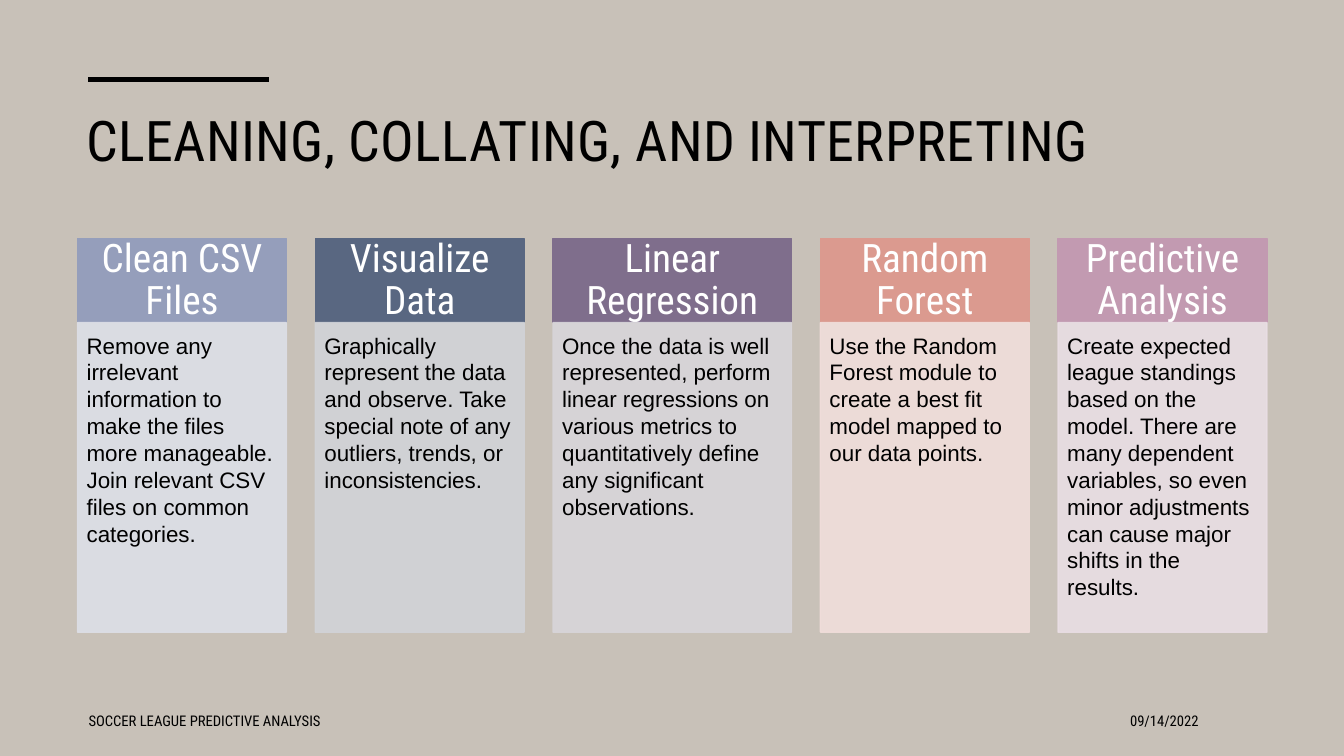
"""Build the slide on cleaning, collating and interpreting data."""
from lxml.etree import SubElement
from pptx import Presentation
from pptx.dml.color import RGBColor
from pptx.enum.shapes import MSO_CONNECTOR, MSO_SHAPE
from pptx.enum.text import MSO_ANCHOR, PP_ALIGN
from pptx.oxml.ns import qn
from pptx.util import Pt

TITLE = "CLEANING, COLLATING, AND INTERPRETING"
FOOTER = "SOCCER LEAGUE PREDICTIVE ANALYSIS"
DATE = "09/14/2022"

BACKGROUND = RGBColor(0xC8, 0xC1, 0xB8)
BLACK = RGBColor(0x00, 0x00, 0x00)
WHITE = RGBColor(0xFF, 0xFF, 0xFF)
BLUE = RGBColor(0x95, 0x9E, 0xBB)
PALE_BLUE = RGBColor(0xDD, 0xDF, 0xE7)
SLATE = RGBColor(0x59, 0x67, 0x81)
PALE_SLATE = RGBColor(0xD1, 0xD3, 0xD8)
PURPLE = RGBColor(0x7F, 0x6E, 0x8C)
PALE_PURPLE = RGBColor(0xD8, 0xD5, 0xDA)
CORAL = RGBColor(0xDB, 0x9A, 0x8F)
PALE_CORAL = RGBColor(0xF1, 0xDE, 0xDB)
PINK = RGBColor(0xC2, 0x9A, 0xB1)
PALE_PINK = RGBColor(0xE9, 0xDE, 0xE4)

HEADING_FONT = "Roboto Condensed"
BODY_FONT = "Arial"

STEPS = [
    ("Clean CSV Files",
     "Remove any irrelevant information to make the files more manageable. "
     "Join relevant CSV files on common categories.",
     149.2, BLUE, PALE_BLUE),
    ("Visualize Data",
     "Graphically represent the data and observe. Take special note of any "
     "outliers, trends, or inconsistencies.",
     149.2, SLATE, PALE_SLATE),
    ("Linear Regression",
     "Once the data is well represented, perform linear regressions on various "
     "metrics to quantitatively define any significant observations.",
     170.4, PURPLE, PALE_PURPLE),
    ("Random Forest",
     "Use the Random Forest module to create a best fit model mapped to our "
     "data points.",
     149.2, CORAL, PALE_CORAL),
    ("Predictive Analysis",
     "Create expected league standings based on the model. There are many "
     "dependent variables, so even minor adjustments can cause major shifts "
     "in the results.",
     149.2, PINK, PALE_PINK),
]
STEPS_LEFT, STEPS_TOP, STEP_GAP = 55.4, 170.4, 20.6
HEADER_HEIGHT, BODY_HEIGHT = 60, 221.2


def write(box, text, size, font, color, anchor, align=PP_ALIGN.LEFT,
          insets=(7.2, 3.6, 7.2, 3.6)):
    """Put one formatted paragraph in a box and return the paragraph."""
    frame = box.text_frame
    frame.word_wrap = True
    frame.vertical_anchor = anchor
    (frame.margin_left, frame.margin_top,
     frame.margin_right, frame.margin_bottom) = map(Pt, insets)
    para = frame.paragraphs[0]
    para.alignment = align
    span = para.add_run()
    span.text = text
    span.font.size = Pt(size)
    span.font.name = font
    span.font.color.rgb = color
    return para


def add_text(page, left, top, width, height, *style, **options):
    """Add a text box with one paragraph."""
    box = page.shapes.add_textbox(Pt(left), Pt(top), Pt(width), Pt(height))
    return write(box, *style, **options)


def add_panel(page, left, top, width, height, color, opacity=100):
    """Add a rectangle whose fill and outline share a colour and opacity."""
    panel = page.shapes.add_shape(
        MSO_SHAPE.RECTANGLE, Pt(left), Pt(top), Pt(width), Pt(height))
    panel.shadow.inherit = False
    panel.fill.solid()
    panel.fill.fore_color.rgb = color
    panel.line.color.rgb = color
    panel.line.width = Pt(1)
    if opacity < 100:
        for tone in panel.element.spPr.iter(qn("a:srgbClr")):
            SubElement(tone, qn("a:alpha"), val=str(opacity * 1000))
    return panel


def add_steps(page):
    """Lay the steps out from left to right with equal gaps."""
    left = STEPS_LEFT
    for heading, detail, width, dark, pale in STEPS:
        header = add_panel(page, left, STEPS_TOP, width, HEADER_HEIGHT, dark)
        para = write(header, heading, 28, HEADING_FONT, WHITE, MSO_ANCHOR.MIDDLE,
                     PP_ALIGN.CENTER, (15.8, 0, 15.8, 0))
        para.line_spacing = 0.9
        body = add_panel(page, left, STEPS_TOP + HEADER_HEIGHT, width,
                         BODY_HEIGHT, pale, 90)
        write(body, detail, 16, BODY_FONT, BLACK, MSO_ANCHOR.TOP,
              insets=(6.5, 6.5, 8.6, 10))
        left += width + STEP_GAP


def main():
    """Compose and save the deck."""
    deck = Presentation()
    deck.slide_width, deck.slide_height = Pt(960), Pt(540)
    page = deck.slides.add_slide(deck.slide_layouts[6])
    page.background.fill.solid()
    page.background.fill.fore_color.rgb = BACKGROUND

    accent = page.shapes.add_connector(
        MSO_CONNECTOR.STRAIGHT, Pt(63), Pt(56.7), Pt(192), Pt(56.7))
    accent.line.color.rgb = BLACK
    accent.line.width = Pt(3.5)
    SubElement(accent.element.spPr, qn("a:effectLst"))

    title = add_text(page, 54.7, 69.8, 850, 82.8, TITLE, 40, HEADING_FONT, BLACK,
                     MSO_ANCHOR.TOP, insets=(7.2, 5.5, 7.2, 3.6))
    title.runs[0].font._element.set("spc", "30")
    add_steps(page)
    add_text(page, 56.2, 500.4, 357, 28.8, FOOTER, 10.5, HEADING_FONT, BLACK,
             MSO_ANCHOR.MIDDLE)
    add_text(page, 658.8, 500.4, 204.5, 28.8, DATE, 10.5, HEADING_FONT, BLACK,
             MSO_ANCHOR.MIDDLE, align=PP_ALIGN.RIGHT)
    deck.save("out.pptx")


if __name__ == "__main__":
    main()
